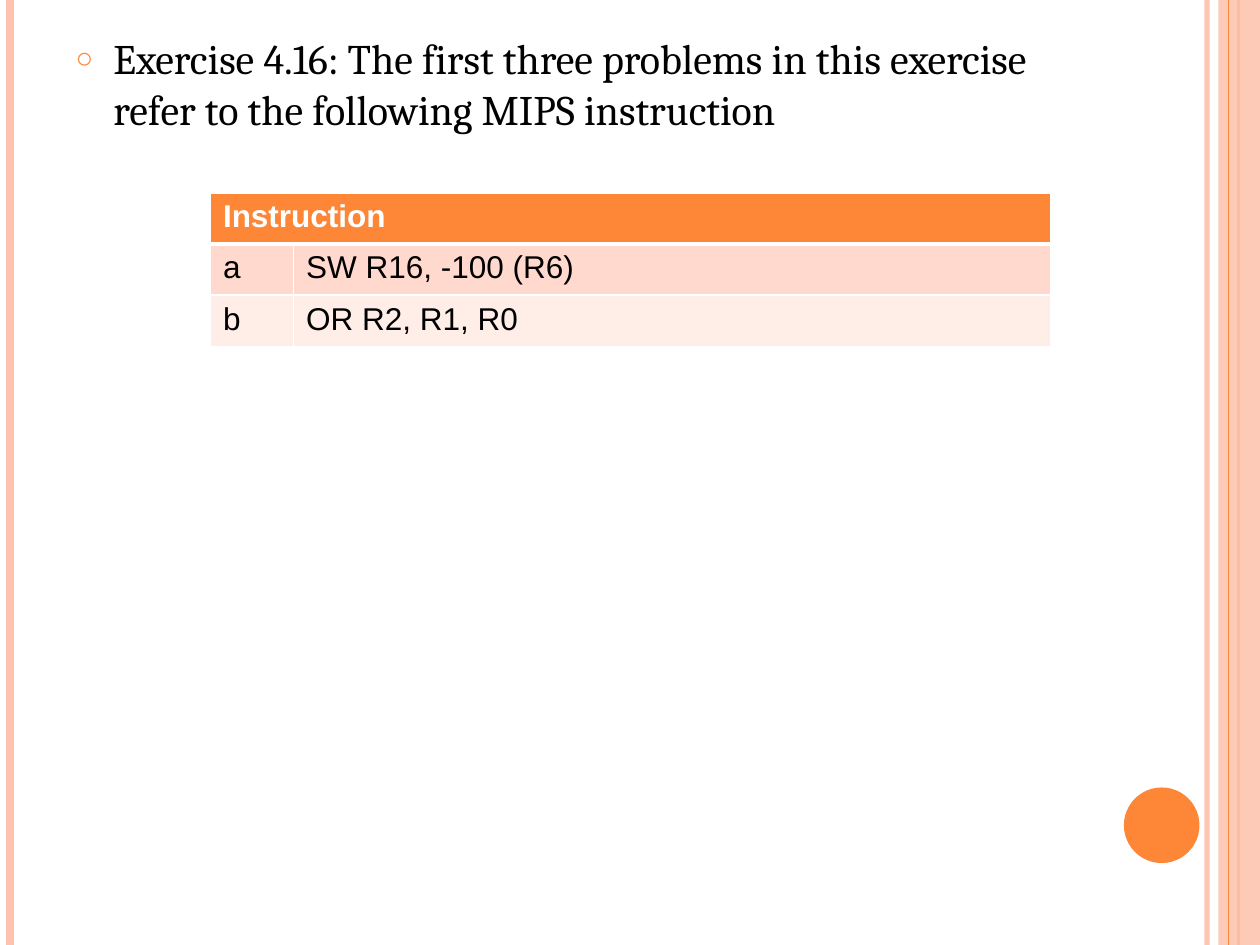
import pptx
import pptx.dml.color
import pptx.enum.shapes
import pptx.enum.text
import pptx.oxml.ns
import pptx.oxml.xmlchemy
import pptx.util
from lxml import etree
from pptx.util import Inches, Pt

ORANGE = "FE8637"
PEACH = "FEC3AE"
WHITE = "FFFFFF"
BLACK = "000000"
SHAPES = pptx.enum.shapes.MSO_SHAPE
qn = pptx.oxml.ns.qn


def set_color(color_format, value, opacity=None):
    color_format.rgb = pptx.dml.color.RGBColor.from_string(value)


def set_fill(fill, value, opacity=100):
    fill.solid()
    fill.fore_color.rgb = pptx.dml.color.RGBColor.from_string(value)
    if opacity < 100:
        color = fill._xPr.find(qn("a:solidFill"))[0]
        etree.SubElement(color, qn("a:alpha"), val=str(opacity * 1000))


def add_stripe(slide, x, color, width, opacity=100):
    line = slide.shapes.add_connector(
        pptx.enum.shapes.MSO_CONNECTOR.STRAIGHT,
        Inches(x), 0, Inches(x), Inches(7.5))
    line.line.width = Pt(width)
    set_fill(line.line.fill, color, opacity)
    etree.SubElement(line._element.spPr, qn("a:effectLst"))


def add_plain_shape(slide, kind, left, top, width, height, color, opacity=100):
    shape = slide.shapes.add_shape(
        kind, Inches(left), Inches(top), Inches(width), Inches(height))
    shape.shadow.inherit = False
    set_fill(shape.fill, color, opacity)
    shape.line.fill.background()


def add_decoration(slide):
    add_stripe(slide, 9.58, PEACH, 3, 93)
    add_stripe(slide, 0.08, PEACH, 4.5)
    add_stripe(slide, 9.83, ORANGE, 1.5)
    add_plain_shape(slide, SHAPES.RECTANGLE, 9.67, 0, 0.33, 7.5, PEACH, 87)
    add_stripe(slide, 9.75, ORANGE, 0.75)
    add_plain_shape(slide, SHAPES.OVAL, 8.92, 6.25, 0.6, 0.6, ORANGE)


def add_bullet(paragraph, character, color, percent):
    properties = paragraph._p.get_or_add_pPr()
    properties.set("marL", str(Inches(0.3)))
    properties.set("indent", str(-Inches(0.3)))
    bullet_color = etree.SubElement(properties, qn("a:buClr"))
    etree.SubElement(bullet_color, qn("a:srgbClr"), val=color)
    etree.SubElement(properties, qn("a:buSzPct"), val=str(percent * 1000))
    etree.SubElement(properties, qn("a:buChar"), char=character)


def fill_body(slide, text):
    body = slide.placeholders[1]
    body.left, body.top = Inches(0.5), Inches(0.21)
    body.width, body.height = Inches(8.44), Inches(6.87)
    frame = body.text_frame
    frame.auto_size = pptx.enum.text.MSO_AUTO_SIZE.NONE
    frame.text = text
    paragraph = frame.paragraphs[0]
    add_bullet(paragraph, "○", ORANGE, 70)
    paragraph.space_before = Pt(0)
    paragraph.font.name = "Cambria"
    paragraph.font.size = Pt(24)
    set_color(paragraph.font.color, BLACK)


def set_borders(cell, bottom_width):
    properties = cell._tc.get_or_add_tcPr()
    widths = {"lnL": 1, "lnR": 1, "lnT": 1, "lnB": bottom_width}
    for position, (side, width) in enumerate(widths.items()):
        border = etree.Element(qn("a:" + side), w=str(Pt(width)))
        fill = etree.SubElement(border, qn("a:solidFill"))
        etree.SubElement(fill, qn("a:srgbClr"), val=WHITE)
        properties.insert(position, border)


def add_instruction_table(slide):
    rows = [("Instruction", ""),
            ("a", "SW R16, -100 (R6)"),
            ("b", "OR R2, R1, R0")]
    row_fills = [ORANGE, "FFD9CE", "FFEDE8"]
    table = slide.shapes.add_table(
        len(rows), 2, Inches(1.67), Inches(1.53),
        Inches(6.67), Inches(1.22)).table
    for column, width in zip(table.columns, (0.66, 6.01)):
        column.width = Inches(width)
    table.cell(0, 0).merge(table.cell(0, 1))
    for row_index, (texts, color) in enumerate(zip(rows, row_fills)):
        header = row_index == 0
        for column_index, text in enumerate(texts):
            cell = table.cell(row_index, column_index)
            set_fill(cell.fill, color)
            set_borders(cell, 3 if header else 1)
            cell.text = text
            font = cell.text_frame.paragraphs[0].font
            font.name = "Arial"
            font.size = Pt(18)
            font.bold = header
            set_color(font.color, WHITE if header else BLACK)


def main():
    presentation = pptx.Presentation()
    presentation.slide_width = Inches(10)
    presentation.slide_height = Inches(7.5)
    slide = presentation.slides.add_slide(presentation.slide_layouts[1])
    set_fill(slide.background.fill, WHITE)

    # The slide has body text but no title
    title = slide.shapes.title._element
    title.getparent().remove(title)

    add_decoration(slide)
    fill_body(slide, "Exercise 4.16: The first three problems in this exercise "
                     "refer to the following MIPS instruction")
    add_instruction_table(slide)
    presentation.save("out.pptx")


if __name__ == "__main__":
    main()
